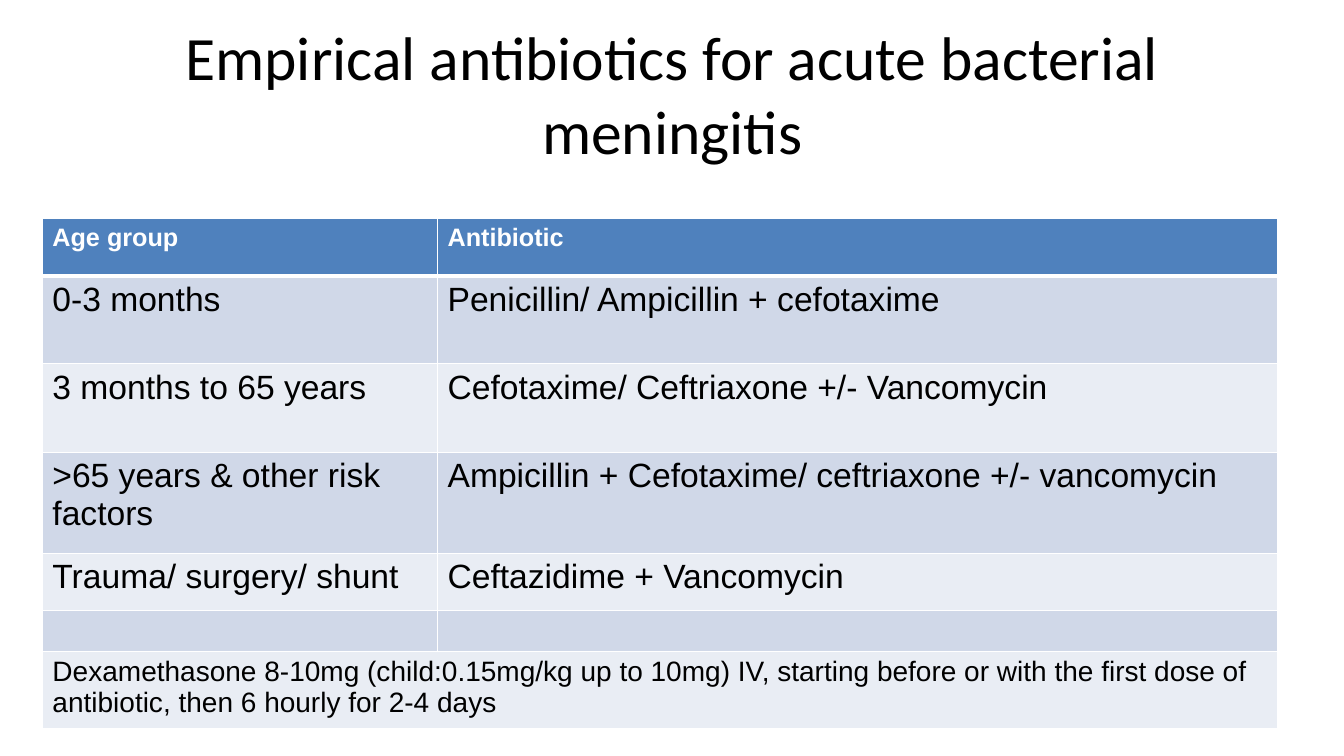
from lxml import etree
from pptx import Presentation
from pptx.dml.color import RGBColor
from pptx.enum.text import MSO_ANCHOR, PP_ALIGN
from pptx.oxml.ns import qn
from pptx.util import Inches, Pt

BLACK = RGBColor(0x00, 0x00, 0x00)
WHITE = RGBColor(0xFF, 0xFF, 0xFF)
HEADER_BLUE = RGBColor(0x4F, 0x81, 0xBD)
BAND_DARK = RGBColor(0xD0, 0xD8, 0xE8)
BAND_LIGHT = RGBColor(0xE9, 0xED, 0xF4)

TITLE = "Empirical antibiotics for acute bacterial meningitis"
DOSING_NOTE = (
    "Dexamethasone 8-10mg (child:0.15mg/kg up to 10mg) IV, starting before or "
    "with the first dose of antibiotic, then 6 hourly for 2-4 days"
)
COLUMN_WIDTHS = (3.92, 8.33)
# Row height in inches, text size in points, cell texts
ROWS = [
    (0.57, 18, ("Age group", "Antibiotic")),
    (0.87, 24, ("0-3 months", "Penicillin/ Ampicillin + cefotaxime")),
    (0.88, 24, ("3 months to 65 years", "Cefotaxime/ Ceftriaxone +/- Vancomycin")),
    (1.0, 24, (">65 years & other risk\nfactors",
               "Ampicillin + Cefotaxime/ ceftriaxone +/- vancomycin")),
    (0.57, 24, ("Trauma/ surgery/ shunt", "Ceftazidime + Vancomycin")),
    (0.4, 18, ("", "")),
    (0.72, 20, (DOSING_NOTE, "")),
]


def style_paragraph(paragraph, font_name, size, color, bold=False):
    font = paragraph.font
    font.name = font_name
    font.size = Pt(size)
    font.bold = bold
    font.color.rgb = color


def add_title(slide):
    title = slide.shapes.add_textbox(
        Inches(0.67), Inches(0.3), Inches(12), Inches(1.25)).text_frame
    title.word_wrap = True
    title.vertical_anchor = MSO_ANCHOR.MIDDLE
    title.text = TITLE
    heading = title.paragraphs[0]
    heading.alignment = PP_ALIGN.CENTER
    style_paragraph(heading, "Calibri", 44, BLACK)


def set_borders(cell, top, bottom):
    """Draw white borders, 1 pt at the sides; call before filling the cell."""
    properties = cell._tc.get_or_add_tcPr()
    for side, width in (("L", 1), ("R", 1), ("T", top), ("B", bottom)):
        line = etree.SubElement(properties, qn(f"a:ln{side}"), w=str(Pt(width)))
        fill = etree.SubElement(line, qn("a:solidFill"))
        etree.SubElement(fill, qn("a:srgbClr"), val=str(WHITE))


def fill_cell(cell, text, row_index, size):
    is_header = row_index == 0
    set_borders(cell, top=3 if row_index == 1 else 1, bottom=3 if is_header else 1)
    cell.fill.solid()
    if is_header:
        cell.fill.fore_color.rgb = HEADER_BLUE
    else:
        cell.fill.fore_color.rgb = BAND_DARK if row_index % 2 else BAND_LIGHT
    cell.text = text
    for paragraph in cell.text_frame.paragraphs:
        style_paragraph(paragraph, "Arial", size,
                        WHITE if is_header else BLACK, bold=is_header)


def add_antibiotic_table(slide):
    table = slide.shapes.add_table(
        len(ROWS), len(COLUMN_WIDTHS), Inches(0.42), Inches(2.17),
        Inches(sum(COLUMN_WIDTHS)), Inches(sum(row[0] for row in ROWS))).table
    for column, width in zip(table.columns, COLUMN_WIDTHS):
        column.width = Inches(width)
    for row_index, (height, size, texts) in enumerate(ROWS):
        table.rows[row_index].height = Inches(height)
        for column_index, text in enumerate(texts):
            fill_cell(table.cell(row_index, column_index), text, row_index, size)
    note_row = len(ROWS) - 1
    table.cell(note_row, 0).merge(table.cell(note_row, 1))


def main():
    presentation = Presentation()
    presentation.slide_width = Inches(13.33)
    presentation.slide_height = Inches(7.5)
    slide = presentation.slides.add_slide(presentation.slide_layouts[6])
    add_title(slide)
    add_antibiotic_table(slide)
    presentation.save("out.pptx")


if __name__ == "__main__":
    main()
